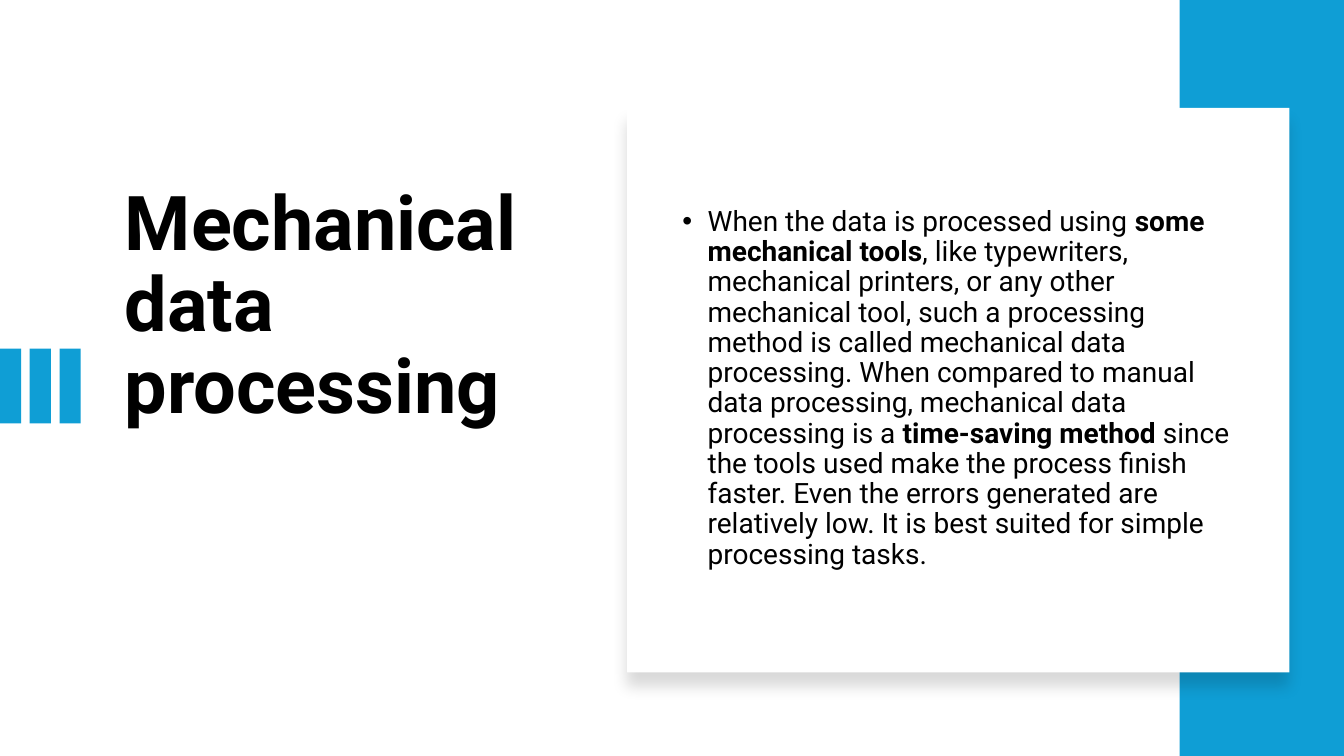
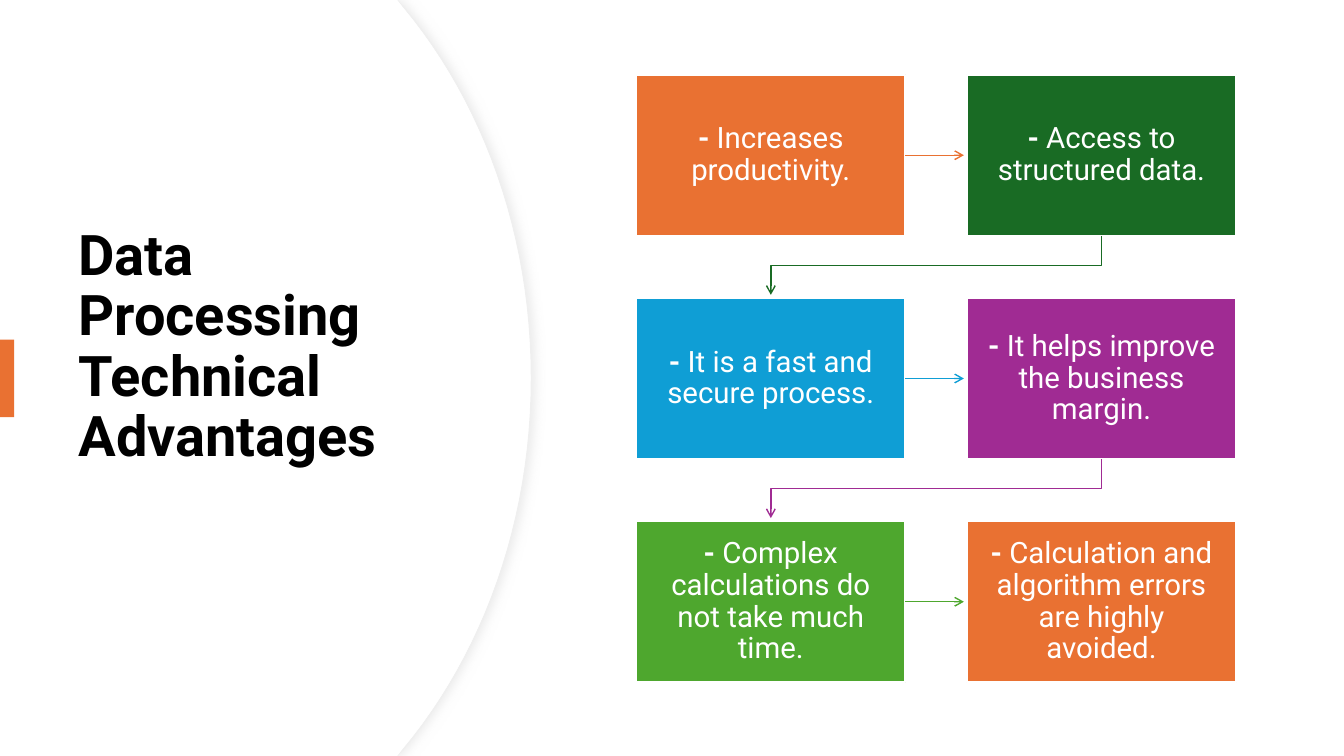
from lxml import etree
from pptx import Presentation
from pptx.dml.color import RGBColor
from pptx.enum.shapes import MSO_CONNECTOR, MSO_SHAPE
from pptx.enum.text import MSO_ANCHOR, PP_ALIGN
from pptx.oxml.ns import qn
from pptx.util import Inches, Pt

RECT = MSO_SHAPE.RECTANGLE
STRAIGHT, ELBOW = MSO_CONNECTOR.STRAIGHT, MSO_CONNECTOR.ELBOW
MIDDLE = MSO_ANCHOR.MIDDLE
LEFT, CENTER = PP_ALIGN.LEFT, PP_ALIGN.CENTER
RIGHT_SIDE = 3

FONT = "Roboto"
BLACK, WHITE, EDGE, SHADE = "000000", "FFFFFF", "EFEFEF", "D9D9D9"
BLUE, ORANGE, GREEN = "0F9ED5", "E97132", "196B24"
PURPLE, LIME = "A02B93", "4EA72E"


def rgb(value):
    """Turn a hex string into a colour."""
    return RGBColor.from_string(value)


def write(tf, runs, size, color=BLACK, align=LEFT, margins=(0.1, 0.05), bullet=False):
    """Fill a text frame with one paragraph of (text, bold) runs."""
    tf.word_wrap = True
    tf.vertical_anchor = MIDDLE
    tf.margin_left = tf.margin_right = Inches(margins[0])
    tf.margin_top = tf.margin_bottom = Inches(margins[1])
    p = tf.paragraphs[0]
    p.alignment = align
    p.line_spacing = 0.9
    if bullet:
        pPr = p._p.get_or_add_pPr()
        pPr.set("marL", str(Inches(0.25)))
        pPr.set("indent", str(-Inches(0.25)))
        etree.SubElement(pPr, qn("a:buFont"), typeface="Arial")
        etree.SubElement(pPr, qn("a:buChar"), char="•")
    for text, bold in runs:
        r = p.add_run()
        r.text = text
        r.font.name = FONT
        r.font.size = Pt(size)
        r.font.bold = bold
        r.font.color.rgb = rgb(color)


def add_shadow(sp, color, alpha, blur, dist, angle):
    """Give a shape an outer shadow, lengths in points and angle in degrees."""
    effects = sp._element.spPr.find(qn("a:effectLst"))
    shadow = etree.SubElement(effects, qn("a:outerShdw"), blurRad=str(Pt(blur)),
                              dist=str(Pt(dist)), dir=str(angle * 60000),
                              algn="ctr", rotWithShape="0")
    clr = etree.SubElement(shadow, qn("a:srgbClr"), val=color)
    etree.SubElement(clr, qn("a:alpha"), val=str(alpha * 1000))


def curve(points, steps=24):
    """Sample a cubic Bezier curve."""
    a, b, c, d = points
    result = []
    for i in range(steps + 1):
        t = i / steps
        u = 1 - t
        result.append(tuple(u**3 * a[k] + 3 * u * u * t * b[k]
                            + 3 * u * t * t * c[k] + t**3 * d[k] for k in (0, 1)))
    return result


class Deck:
    """Holds the presentation style and the current slide."""

    def __init__(self):
        """Start a wide presentation."""
        self.prs = Presentation()
        self.prs.slide_width = Inches(13.33)
        self.prs.slide_height = Inches(7.5)
        self.s = None

    def slide(self):
        """Add a blank slide."""
        self.s = self.prs.slides.add_slide(self.prs.slide_layouts[6])

    def style(self, sp, fill, line=None, width=1.0):
        """Set fill and line of a shape without a shadow."""
        sp.shadow.inherit = False
        sp.fill.solid()
        sp.fill.fore_color.rgb = rgb(fill)
        if line:
            sp.line.color.rgb = rgb(line)
            sp.line.width = Pt(width)
        else:
            sp.line.fill.background()
        return sp

    def rect(self, x, y, w, h, fill, **line):
        """Add a rectangle."""
        sp = self.s.shapes.add_shape(RECT, Inches(x), Inches(y), Inches(w), Inches(h))
        return self.style(sp, fill, **line)

    def text(self, x, y, w, h, runs, size, **form):
        """Add a text box."""
        sp = self.s.shapes.add_textbox(Inches(x), Inches(y), Inches(w), Inches(h))
        write(sp.text_frame, runs, size, **form)

    def title(self, x, y, w, h, text, size):
        """Add a bold slide title."""
        self.text(x, y, w, h, [(text, True)], size)

    def card(self, x, y, w, h, fill, text):
        """Add a coloured card with a dashed statement."""
        sp = self.rect(x, y, w, h, fill, line=WHITE, width=1.5)
        write(sp.text_frame, [("-", True), (" " + text, False)], 21, color=WHITE,
              align=CENTER, margins=(0.13, 0.14))
        return sp

    def outline(self, points, fill, **line):
        """Add a closed freeform."""
        pts = [(Inches(x), Inches(y)) for x, y in points]
        fb = self.s.shapes.build_freeform(*pts[0])
        fb.add_line_segments(pts[1:], close=True)
        return self.style(fb.convert_to_shape(), fill, **line)

    def arrow(self, kind, x1, y1, x2, y2, color):
        """Add a connector with an open arrowhead."""
        c = self.s.shapes.add_connector(kind, Inches(x1), Inches(y1),
                                        Inches(x2), Inches(y2))
        c.line.color.rgb = rgb(color)
        c.line.width = Pt(1)
        etree.SubElement(c.line._get_or_add_ln(), qn("a:tailEnd"), type="arrow")
        etree.SubElement(c._element.spPr, qn("a:effectLst"))
        return c

    def down_elbow(self, x1, y1, x2, y2, color):
        """Add an elbow arrow leaving downwards and ending lower left."""
        cx, cy = (x1 + x2) / 2, (y1 + y2) / 2
        w, h = (y2 - y1) / 2, (x1 - x2) / 2
        c = self.arrow(ELBOW, cx - w, cy - h, cx + w, cy + h, color)
        c._element.spPr.find(qn("a:xfrm")).set("rot", str(90 * 60000))


def mechanical_slide(deck):
    """Build the slide on mechanical data processing."""
    deck.slide()
    deck.title(1.14, 1.46, 4.26, 3.18, "Mechanical data processing", 54)
    for i in range(3):
        deck.rect(0.59 * i / 2, 3.46, 0.21, 0.74, BLUE)
    deck.rect(11.7, 0, 1.63, 7.5, BLUE)
    panel = deck.rect(6.22, 1.07, 6.57, 5.6, WHITE)
    add_shadow(panel, BLACK, 15, 11, 10, 90)
    deck.text(6.67, 1.46, 5.75, 4.79, [
        ("When the data is processed using ", False),
        ("some mechanical tools", True),
        (", like typewriters, mechanical printers, or any other mechanical tool, "
         "such a processing method is called mechanical data processing. When "
         "compared to manual data processing, mechanical data processing is a ", False),
        ("time-saving method", True),
        (" since the tools used make the process finish faster. Even the errors "
         "generated are relatively low. It is best suited for simple processing "
         "tasks.", False),
    ], 20, bullet=True)


def advantages_slide(deck):
    """Build the slide on technical advantages."""
    deck.slide()
    upper = curve([(4.01, 0.08), (4.79, 1.02), (5.27, 2.32), (5.27, 3.75)])
    half = [(0, 0), (3.94, 0)] + upper
    disc = half + [(x, 7.5 - y) for x, y in reversed(half[:-1])]
    rim = deck.outline(disc, WHITE, line=EDGE, width=0.75)
    add_shadow(rim, SHADE, 50, 7, 3, 0)
    deck.outline([(x - 0.01 if x > 3.94 else x, y) for x, y in disc], WHITE)
    deck.title(0.68, 1.27, 3.94, 4.36, "Data Processing Technical Advantages", 40)
    deck.rect(0, 3.37, 0.14, 0.77, ORANGE)

    cards = [
        (ORANGE, "Increases productivity."),
        (GREEN, "Access to structured data."),
        (BLUE, "It is a fast and secure process."),
        (PURPLE, "It helps improve the business margin."),
        (LIME, "Complex calculations do not take much time."),
        (ORANGE, "Calculation and algorithm errors are highly avoided."),
    ]
    left, top, w, h = 6.31, 0.74, 2.67, 1.6
    step_x, step_y, gap = 3.28, 4.43 / 2, 0.03
    for i, (color, text) in enumerate(cards):
        row, col = divmod(i, 2)
        x, y = left + col * step_x, top + row * step_y
        sp = deck.card(x, y, w, h, color, text)
        if col == 0:
            mid = y + h / 2
            c = deck.arrow(STRAIGHT, x + w, mid, x + step_x - gap, mid, color)
            c.begin_connect(sp, RIGHT_SIDE)
        elif i < len(cards) - 1:
            mid = x + w / 2
            deck.down_elbow(mid, y + h, mid - step_x, y + step_y - gap, color)


def main():
    """Build and save the presentation."""
    deck = Deck()
    mechanical_slide(deck)
    advantages_slide(deck)
    deck.prs.save("out.pptx")


if __name__ == "__main__":
    main()
